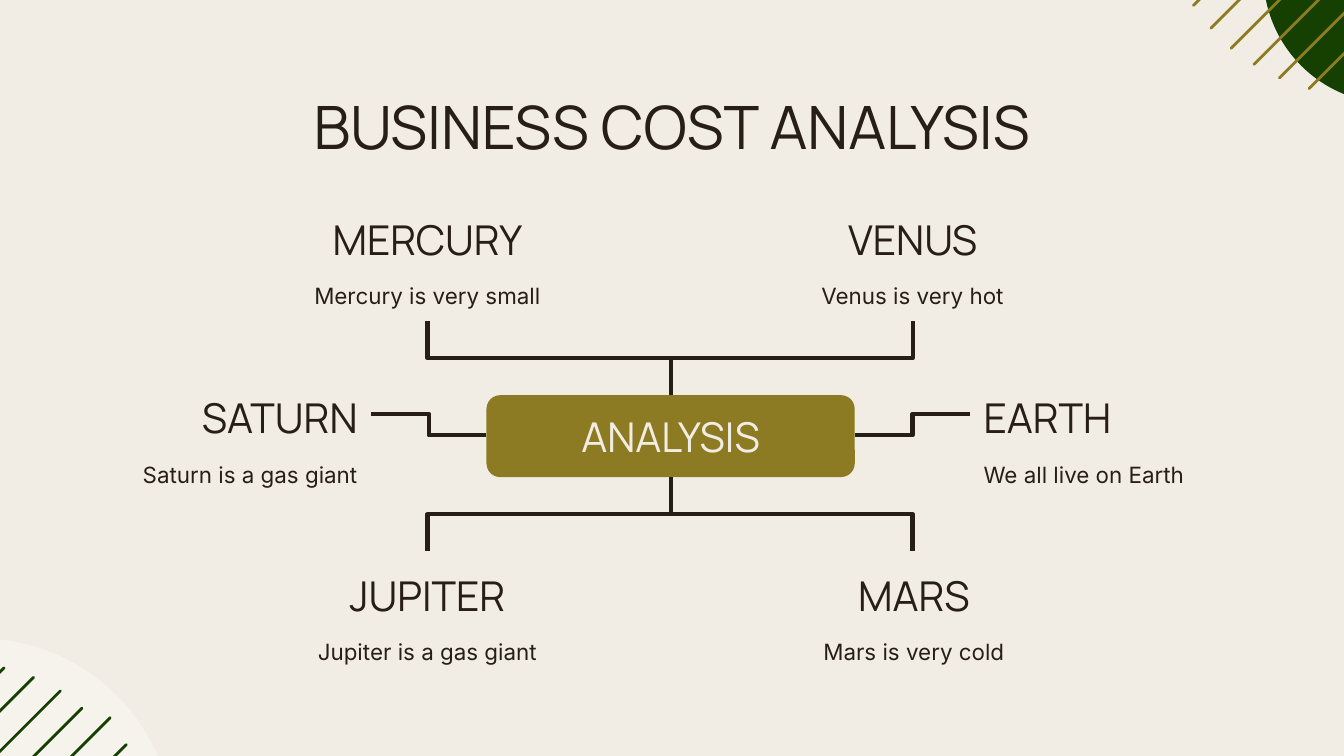
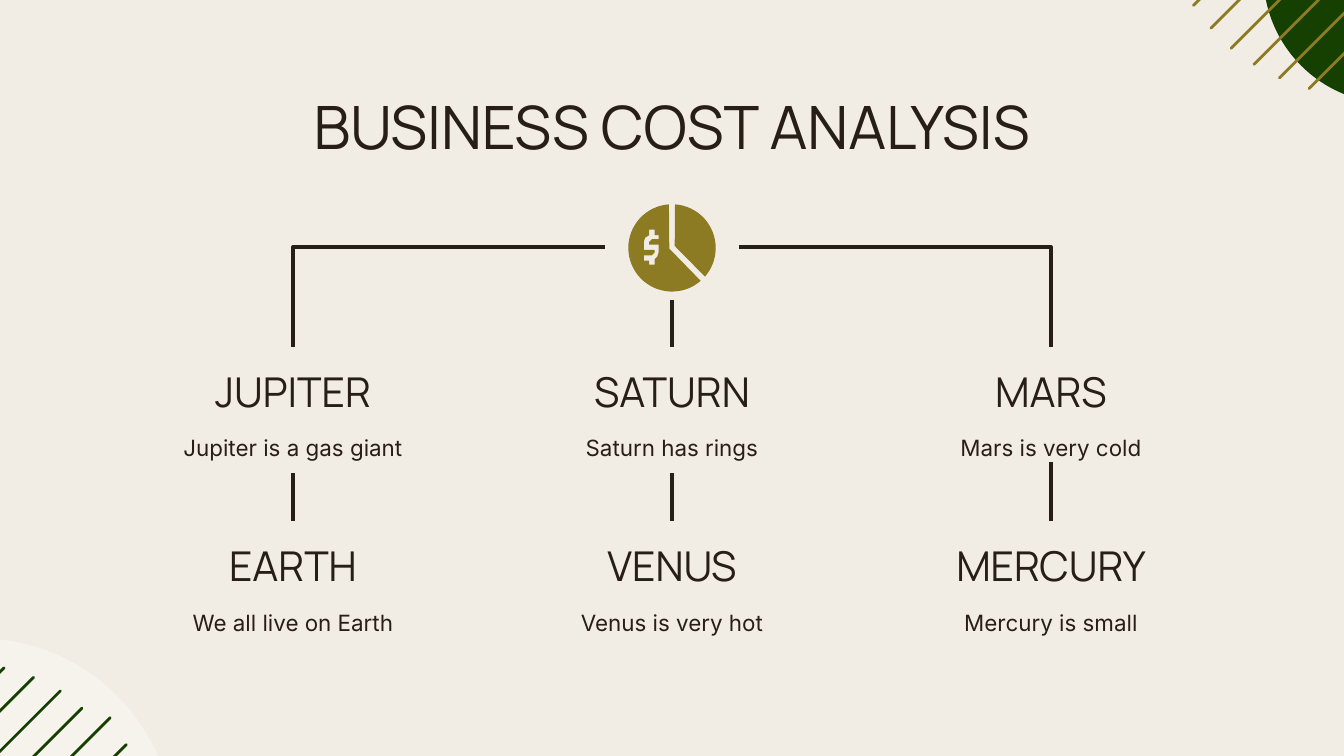
from math import cos, radians, sin

from lxml import etree
from pptx import Presentation
from pptx.dml.color import RGBColor
from pptx.enum.shapes import MSO_CONNECTOR, MSO_SHAPE
from pptx.enum.text import MSO_ANCHOR, MSO_AUTO_SIZE, PP_ALIGN
from pptx.oxml.ns import qn
from pptx.util import Inches, Pt

STRAIGHT, ELBOW = MSO_CONNECTOR.STRAIGHT, MSO_CONNECTOR.ELBOW
OVAL, ROUNDED = MSO_SHAPE.OVAL, MSO_SHAPE.ROUNDED_RECTANGLE
TOP, MIDDLE, BOTTOM = MSO_ANCHOR.TOP, MSO_ANCHOR.MIDDLE, MSO_ANCHOR.BOTTOM
LEFT, CENTER, RIGHT = PP_ALIGN.LEFT, PP_ALIGN.CENTER, PP_ALIGN.RIGHT
NO_FIT = MSO_AUTO_SIZE.NONE

COLORS = {
    "background": "F2EDE4",
    "ink": "261E17",
    "olive": "8C7B23",
    "green": "154001",
    "white": "FFFFFF",
}
TITLE_FONT = {"name": "Manrope", "size": Pt(32), "bold": False}
HEADING_FONT = {"name": "Manrope", "size": Pt(22), "bold": False}
BODY_FONT = {"name": "Inter", "size": Pt(12), "bold": False}

TITLE = "BUSINESS COST ANALYSIS"
LABEL_WIDTH, HEADING_HEIGHT, BODY_HEIGHT, BODY_OFFSET = 1.98, 0.61, 0.38, 0.55
TOP_STRIPES = [
    (10.83, -1.91, 1.95), (11.07, -1.85, 2.06), (11.25, -1.73, 2.09),
    (11.35, -1.54, 2.02), (11.38, -1.28, 1.86), (11.45, -1.05, 1.71),
]
BOTTOM_STRIPES = [
    (0.03, 4.97, 1.71), (0.25, 5.04, 1.85), (0.45, 5.14, 1.95),
    (0.61, 5.27, 1.99), (0.82, 5.34, 2.06), (0.94, 5.54, 2),
]
MIND_MAP_LABELS = [
    (2.19, 1.45, "MERCURY", "Mercury is very small", CENTER),
    (5.8, 1.45, "VENUS", "Venus is very hot", CENTER),
    (0.78, 2.78, "SATURN", "Saturn is a gas giant", RIGHT),
    (7.22, 2.78, "EARTH", "We all live on Earth", LEFT),
    (2.19, 4.1, "JUPITER", "Jupiter is a gas giant", CENTER),
    (5.81, 4.1, "MARS", "Mars is very cold", CENTER),
]
TREE_COLUMNS = (2.18, 5, 7.82)
TREE_ROWS = [
    (2.58, [("JUPITER", "Jupiter is a gas giant"),
            ("SATURN", "Saturn has rings"),
            ("MARS", "Mars is very cold")]),
    (3.88, [("EARTH", "We all live on Earth"),
            ("VENUS", "Venus is very hot"),
            ("MERCURY", "Mercury is small")]),
]
DOLLAR = [
    (4.87, 1.71), (4.87, 1.75), (4.9, 1.75), (4.9, 1.78), (4.85, 1.78),
    (4.83, 1.8), (4.83, 1.82), (4.9, 1.82), (4.9, 1.88), (4.89, 1.91),
    (4.87, 1.93), (4.87, 1.97), (4.83, 1.97), (4.83, 1.94), (4.79, 1.94),
    (4.79, 1.9), (4.85, 1.9), (4.87, 1.88), (4.87, 1.86), (4.79, 1.86),
    (4.79, 1.8), (4.8, 1.77), (4.83, 1.75), (4.83, 1.71),
]


def color(name):
    return RGBColor.from_string(COLORS[name])


def inches(*lengths):
    return [Inches(length) for length in lengths]


def paint(shape, fill):
    shape.shadow.inherit = False
    shape.fill.solid()
    shape.fill.fore_color.rgb = color(fill)
    shape.line.fill.background()


def write(shape, text, font, anchor, alignment=CENTER, text_color="ink"):
    frame = shape.text_frame
    margins = dict.fromkeys(
        ("margin_left", "margin_top", "margin_right", "margin_bottom"), Inches(0.1))
    settings = {"word_wrap": True, "auto_size": NO_FIT,
                "vertical_anchor": anchor, **margins}
    for name, value in settings.items():
        setattr(frame, name, value)
    paragraph = frame.paragraphs[0]
    paragraph.text = text
    paragraph.alignment = alignment
    for name, value in font.items():
        setattr(paragraph.font, name, value)
    paragraph.font.color.rgb = color(text_color)


def add_label(slide, left, top, heading, body, alignment=CENTER):
    parts = [
        (top, HEADING_HEIGHT, heading, HEADING_FONT, BOTTOM),
        (top + BODY_OFFSET, BODY_HEIGHT, body, BODY_FONT, TOP),
    ]
    for y, height, text, font, anchor in parts:
        box = slide.shapes.add_textbox(*inches(left, y, LABEL_WIDTH, height))
        write(box, text, font, anchor, alignment)


def add_line(slide, start, end, kind=STRAIGHT, line_color="ink", width=2.25):
    connector = slide.shapes.add_connector(kind, *inches(*start, *end))
    connector.line.color.rgb = color(line_color)
    connector.line.width = Pt(width)
    etree.SubElement(connector.element.spPr, qn("a:effectLst"))
    return connector


def add_drop_elbow(slide, start, end):
    (x1, y1), (x2, y2) = start, end
    center_x, center_y = (x1 + x2) / 2, (y1 + y2) / 2
    half_height = abs(x2 - x1) / 2
    goes_right = x2 > x1
    half_width = (y2 - y1) / 2 * (1 if goes_right else -1)
    connector = add_line(
        slide,
        (center_x + half_width, center_y - half_height),
        (center_x - half_width, center_y + half_height),
        ELBOW,
    )
    degrees = 270 if goes_right else 90
    connector.element.spPr.find(qn("a:xfrm")).set("rot", str(degrees * 60000))


def add_corner(slide, start, end):
    connector = add_line(slide, start, end, ELBOW)
    connector.element.spPr.find(qn("a:prstGeom")).set("prst", "bentConnector2")


def add_outline(slide, contours, fill):
    first, *others = [[inches(*point) for point in contour] for contour in contours]
    builder = slide.shapes.build_freeform(*first[0])
    builder.add_line_segments(first[1:], close=True)
    for contour in others:
        builder.move_to(*contour[0])
        builder.add_line_segments(contour[1:], close=True)
    paint(builder.convert_to_shape(), fill)


def add_stripe(slide, x, y, length, line_color):
    stripe = add_line(slide, (x, y), (x - length, y + length),
                      line_color=line_color, width=1.5)
    stripe.line._get_or_add_ln().set("cap", "rnd")
    return stripe


def decorate_layout(layout, slide):
    layout.background.fill.solid()
    layout.background.fill.fore_color.rgb = color("background")
    green_disc = slide.shapes.add_shape(OVAL, *inches(9.4, -1.15, 1.92, 1.92))
    paint(green_disc, "green")
    pale_disc = slide.shapes.add_shape(OVAL, *inches(-1.61, 4.75, 2.9, 2.88))
    paint(pale_disc, "white")
    pale_fill = pale_disc.element.spPr.find(".//" + qn("a:srgbClr"))
    etree.SubElement(pale_fill, qn("a:alpha"), val="36000")
    decorations = [green_disc, pale_disc]
    for stripes, line_color in ((TOP_STRIPES, "olive"), (BOTTOM_STRIPES, "green")):
        decorations += [add_stripe(slide, *stripe, line_color) for stripe in stripes]
    for number, shape in enumerate(decorations, 100):
        shape.element.find(".//" + qn("p:cNvPr")).set("id", str(number))
        layout.shapes.element.append(shape.element)


def add_title(slide):
    title = slide.shapes.title
    title.left, title.top, title.width, title.height = inches(0.78, 0.57, 8.44, 0.77)
    write(title, TITLE, TITLE_FONT, TOP)


def pie_arc(start, end, steps=40):
    angles = [radians(start + (end - start) * step / steps) for step in range(steps + 1)]
    return [(5 + 0.325 * cos(angle), 1.845 + 0.325 * sin(angle)) for angle in angles]


def add_pie_icon(slide):
    add_outline(slide, [[(4.98, 1.85), *pie_arc(49, 266)], DOLLAR], "olive")
    add_outline(slide, [[(5.02, 1.83), *pie_arc(-86, 41)]], "olive")


def build_mind_map(slide):
    add_title(slide)
    for label in MIND_MAP_LABELS:
        add_label(slide, *label)
    center = slide.shapes.add_shape(ROUNDED, *inches(3.62, 2.94, 2.74, 0.61))
    paint(center, "olive")
    write(center, "ANALYSIS", HEADING_FONT, MIDDLE, text_color="background")
    for x in (3.18, 6.79):
        add_drop_elbow(slide, (x, 2.39), (4.99, 2.94))
        add_drop_elbow(slide, (4.99, 3.55), (x, 4.1))
    for box_edge, label_edge in ((3.62, 2.76), (6.36, 7.22)):
        add_line(slide, (box_edge, 3.24), (label_edge, 3.08), ELBOW)


def build_tree(slide):
    add_title(slide)
    for top, labels in TREE_ROWS:
        for x, (heading, body) in zip(TREE_COLUMNS, labels):
            add_label(slide, x - LABEL_WIDTH / 2, top, heading, body)
    add_pie_icon(slide)
    left, middle, right = TREE_COLUMNS
    add_corner(slide, (4.5, 1.84), (left, 2.58))
    add_corner(slide, (5.5, 1.84), (right, 2.58))
    add_line(slide, (middle, 2.23), (middle, 2.58))
    for x, top in zip(TREE_COLUMNS, (3.52, 3.52, 3.44)):
        add_line(slide, (x, top), (x, 3.88))


def main():
    presentation = Presentation()
    presentation.slide_width = Inches(10)
    presentation.slide_height = Inches(10) * 9 // 16
    layout = presentation.slide_layouts[5]
    mind_map, tree = [presentation.slides.add_slide(layout) for _ in range(2)]
    decorate_layout(layout, mind_map)
    build_mind_map(mind_map)
    build_tree(tree)
    presentation.save("out.pptx")


if __name__ == "__main__":
    main()
